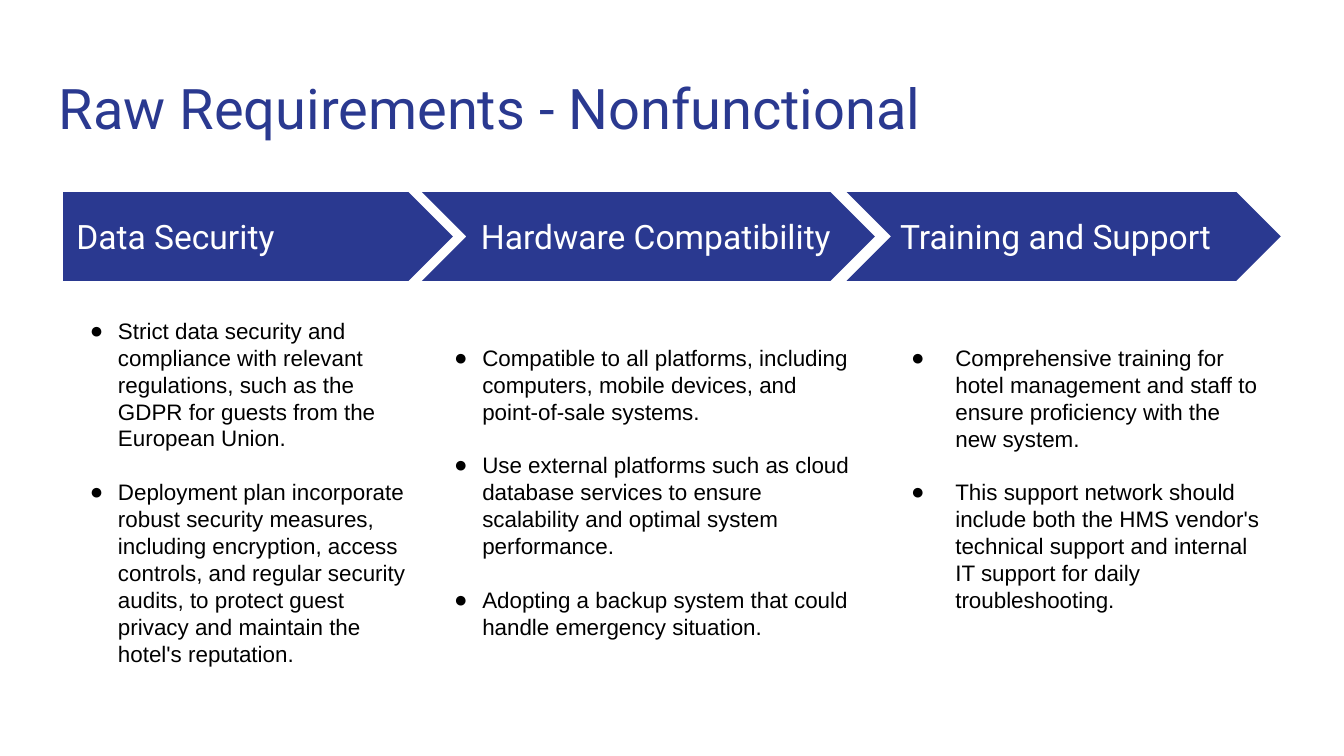
from lxml import etree
from pptx import Presentation, util as u
from pptx.dml.color import RGBColor
from pptx.enum import shapes, text
from pptx.oxml.ns import qn

HUES = {"navy": "2A3990", "white": "FFFFFF", "black": "000000"}
TOP, HIGH = 1.43, 0.66   # arrow band
MID = TOP + HIGH / 2

deck = Presentation()
deck.slide_width = u.Inches(10)
deck.slide_height = deck.slide_width * 9 // 16
slide = deck.slides.add_slide(deck.slide_layouts[6])


def write(box, lines, size, face, hue, anchor=text.MSO_ANCHOR.TOP, indent=None):
    """Add a text box; an indent in inches (left, hang) makes a bullet list."""
    frame = slide.shapes.add_textbox(*map(u.Inches, box)).text_frame
    frame.word_wrap = True
    frame.vertical_anchor = anchor
    frame.margin_left = frame.margin_right = u.Inches(0.1)
    frame.margin_top = frame.margin_bottom = u.Inches(0.1)
    for i, line in enumerate(lines):
        para = frame.paragraphs[0] if i == 0 else frame.add_paragraph()
        para.text = line
        if indent:
            para.line_spacing = 1.0
            if i:
                para.space_before = u.Pt(14.4)
            props = para._p.get_or_add_pPr()
            left, hang = indent
            props.set("marL", str(u.Inches(left)))
            props.set("indent", str(-u.Inches(hang)))
            etree.SubElement(props, qn("a:buFont")).set("typeface", "Arial")
            etree.SubElement(props, qn("a:buChar")).set("char", "●")
        para.font.size = u.Pt(size)
        para.font.name = face
        para.font.color.rgb = RGBColor.from_string(HUES[hue])


write((0.34, 0.45, 9.32, 0.66), ["Raw Requirements - Nonfunctional"], 30, "Roboto", "navy")

# kind, arrow left and width, label, label left and width
kinds = shapes.MSO_SHAPE
steps = [
    (kinds.PENTAGON, 0.47, 2.9, "Data Security", 0.47, 2.47),
    (kinds.CHEVRON, 3.14, 3.37, "Hardware Compatibility", 3.48, 2.94),
    (kinds.CHEVRON, 6.3, 3.23, "Training and Support", 6.6, 2.84),
]
for kind, left, wide, label, start, span in steps:
    arrow = slide.shapes.add_shape(kind, *map(u.Inches, (left, TOP, wide, HIGH)))
    arrow.adjustments[0] = 0.5
    arrow.shadow.inherit = False
    arrow.fill.solid()
    arrow.fill.fore_color.rgb = RGBColor.from_string(HUES["navy"])
    arrow.line.fill.background()
    write((start, MID - 0.17, span, 0.34), [label], 18, "Roboto", "white",
          text.MSO_ANCHOR.MIDDLE)

# box, indent, points
lists = [
    ((3.18, 2.46, 3.28, 2.42), (0.31, 0.21), [
        "Compatible to all platforms, including computers, mobile devices, and "
        "point-of-sale systems.",
        "Use external platforms such as cloud database services to ensure "
        "scalability and optimal system performance.",
        "Adopting a backup system that could handle emergency situation."]),
    ((6.51, 2.46, 3.02, 2.42), (0.5, 0.33), [
        "Comprehensive training for hotel management and staff to ensure "
        "proficiency with the new system.",
        "This support network should include both the HMS vendor's technical "
        "support and internal IT support for daily troubleshooting."]),
    ((0.47, 2.26, 2.66, 2.83), (0.31, 0.21), [
        "Strict data security and compliance with relevant regulations, such as "
        "the GDPR for guests from the European Union.",
        "Deployment plan incorporate robust security measures, including "
        "encryption, access controls, and regular security audits, to protect "
        "guest privacy and maintain the hotel's reputation."]),
]
for box, indent, points in lists:
    write(box, points, 12, "Arial", "black", indent=indent)

deck.save("out.pptx")
